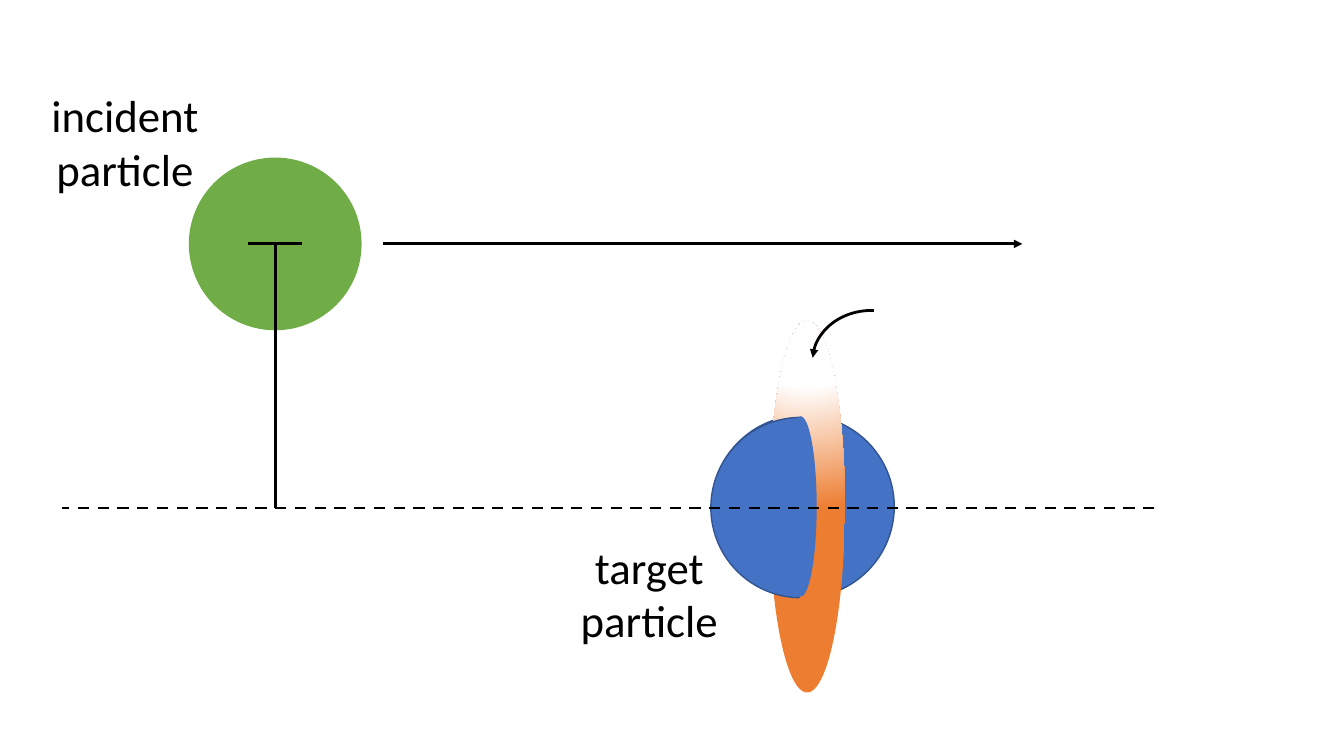
from dataclasses import dataclass

from lxml import etree
from pptx import Presentation
from pptx import util as u
from pptx.dml.color import RGBColor
from pptx.enum import dml, shapes, text
from pptx.oxml import parse_xml
from pptx.oxml.ns import nsdecls, qn

PX = u.Inches(1) // 100
GREEN, BLUE, NAVY, ORANGE = "70AD47", "4472C4", "325491", "ED7D31"
BLACK, WHITE = "000000", "FFFFFF"
Shape = shapes.MSO_SHAPE
AXIS_Y = 504
INCIDENT_X, INCIDENT_Y = 273, 242


@dataclass
class Body:
    left: int
    top: int
    width: int
    height: int
    fill: str = ""
    outline: str = ""
    outline_pt: int = 1
    kind: Shape = Shape.OVAL
    angles: tuple[float, ...] = ()


@dataclass
class Stroke:
    x1: int
    y1: int
    x2: int
    y2: int
    dashed: bool = False
    arrow: bool = False


@dataclass
class Label:
    left: int
    top: int
    width: int
    height: int
    words: str


def rgb(color: str) -> RGBColor:
    return RGBColor.from_string(color)


def add_arrowhead(item, end: str) -> None:
    etree.SubElement(item.line._get_or_add_ln(), qn(f"a:{end}"), type="triangle")


def add_body(slide, body: Body):
    box = (body.left, body.top, body.width, body.height)
    shape = slide.shapes.add_shape(body.kind, *(v * PX for v in box))
    shape.shadow.inherit = False
    for index, angle in enumerate(body.angles):
        shape.adjustments[index] = angle
    if body.fill:
        shape.fill.solid()
        shape.fill.fore_color.rgb = rgb(body.fill)
    else:
        shape.fill.background()
    if body.outline:
        shape.line.color.rgb = rgb(body.outline)
        shape.line.width = u.Pt(body.outline_pt)
    else:
        shape.line.fill.background()
    return shape


def add_stroke(slide, stroke: Stroke) -> None:
    ends = (stroke.x1, stroke.y1, stroke.x2, stroke.y2)
    line = slide.shapes.add_connector(
        shapes.MSO_CONNECTOR.STRAIGHT, *(v * PX for v in ends)
    )
    line.line.color.rgb = rgb(BLACK)
    line.line.width = u.Pt(2)
    if stroke.dashed:
        line.line.dash_style = dml.MSO_LINE.DASH
    if stroke.arrow:
        add_arrowhead(line, "tailEnd")
    etree.SubElement(line._element.spPr, qn("a:effectLst"))


def add_label(slide, label: Label) -> None:
    box = (label.left, label.top, label.width, label.height)
    frame = slide.shapes.add_textbox(*(v * PX for v in box)).text_frame
    frame.word_wrap = True
    frame.auto_size = text.MSO_AUTO_SIZE.SHAPE_TO_FIT_TEXT
    frame.text = label.words
    paragraph = frame.paragraphs[0]
    paragraph.alignment = text.PP_ALIGN.CENTER
    font = paragraph.runs[0].font
    font.name, font.size = "Calibri", u.Pt(32)
    font.color.rgb = rgb(BLACK)


def fade_from_above(shape, stops: list[tuple[int, str]]) -> None:
    stop_xml = "".join(
        f'<a:gs pos="{percent * 1000}"><a:srgbClr val="{color}"/></a:gs>'
        for percent, color in stops
    )
    gradient = parse_xml(
        f'<a:gradFill {nsdecls("a")} rotWithShape="1"><a:gsLst>{stop_xml}</a:gsLst>'
        '<a:path path="circle">'
        '<a:fillToRect l="50000" t="-80000" r="50000" b="180000"/>'
        "</a:path></a:gradFill>"
    )
    properties = shape._element.spPr
    properties.replace(properties.find(qn("a:noFill")), gradient)


def main() -> None:
    prs = Presentation()
    prs.slide_width, prs.slide_height = 1333 * PX, 750 * PX
    slide = prs.slides.add_slide(prs.slide_layouts[6])

    add_body(slide, Body(188, 157, 170, 170, GREEN, GREEN))
    impact_parameter = Stroke(INCIDENT_X, INCIDENT_Y, INCIDENT_X, AXIS_Y)
    center_mark = Stroke(INCIDENT_X - 27, INCIDENT_Y, INCIDENT_X + 27, INCIDENT_Y)
    velocity = Stroke(380, INCIDENT_Y, 1014, INCIDENT_Y, arrow=True)
    for stroke in (impact_parameter, center_mark, velocity):
        add_stroke(slide, stroke)

    add_body(slide, Body(706, 412, 181, 181, BLUE, NAVY))
    ring = add_body(slide, Body(763, 318, 75, 369))
    fade_from_above(ring, [(0, WHITE), (35, WHITE), (100, ORANGE)])
    add_body(
        slide,
        Body(705, 414, 179, 179, BLUE, NAVY, kind=Shape.CHORD, angles=(54.85, 162.11)),
    )
    add_body(slide, Body(778, 413, 32, 179, BLUE))
    add_stroke(slide, Stroke(1145, AXIS_Y, 62, AXIS_Y, dashed=True))

    ring_pointer = add_body(
        slide,
        Body(806, 308, 117, 100, "", BLACK, 2, Shape.ARC, (109.78, 163.61)),
    )
    add_arrowhead(ring_pointer, "headEnd")

    add_label(slide, Label(34, 82, 180, 121, "incident particle"))
    add_label(slide, Label(560, 530, 168, 118, "target particle"))
    prs.save("out.pptx")


if __name__ == "__main__":
    main()
